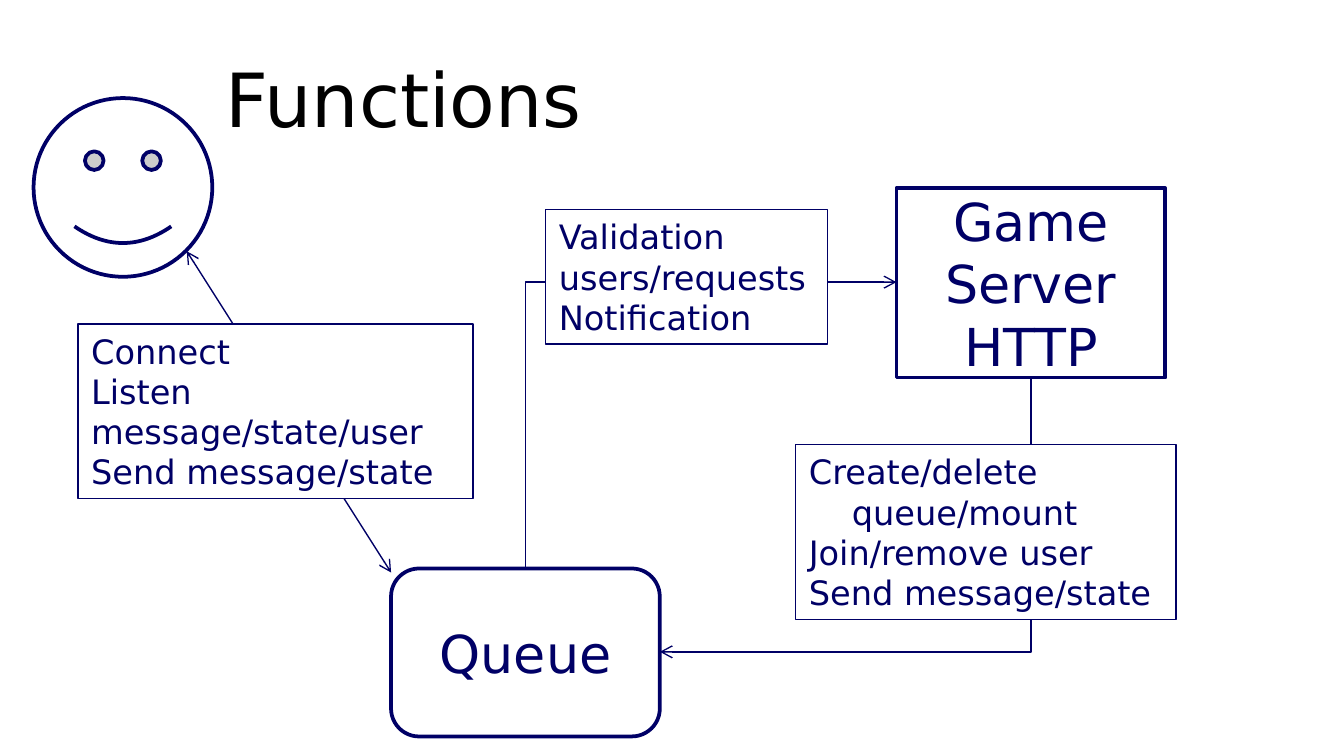
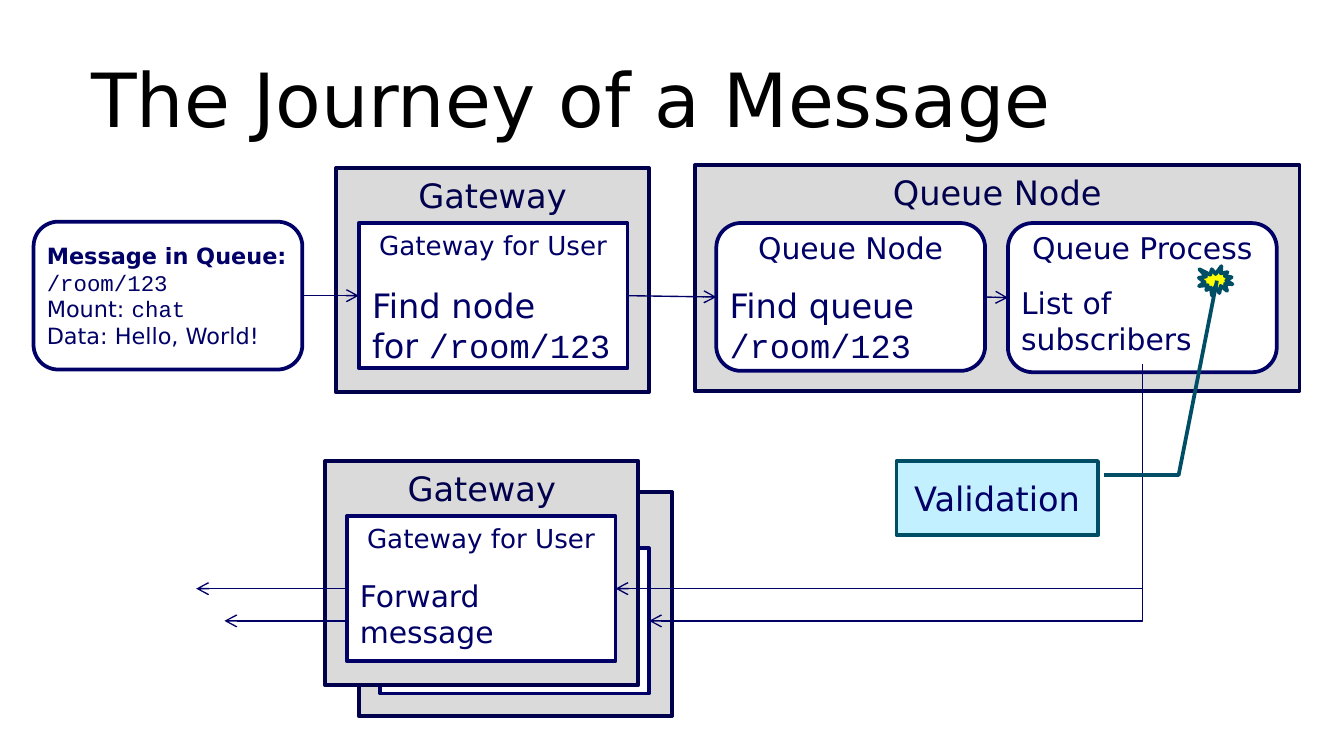
from lxml import etree
from pptx import Presentation
from pptx.dml.color import RGBColor
from pptx.enum.shapes import MSO_CONNECTOR as Connector, MSO_SHAPE as Preset
from pptx.enum.text import MSO_ANCHOR as Anchor, MSO_AUTO_SIZE as AutoSize, PP_ALIGN as Align
from pptx.oxml.ns import qn
from pptx.util import Inches, Pt

BLACK = RGBColor(0x00, 0x00, 0x00)
WHITE = RGBColor(0xFF, 0xFF, 0xFF)
NAVY = RGBColor(0x00, 0x00, 0x66)
DARK_NAVY = RGBColor(0x00, 0x00, 0x4D)
TEAL = RGBColor(0x00, 0x4D, 0x66)
GREY = RGBColor(0xDA, 0xDA, 0xDA)
PALE_BLUE = RGBColor(0xC2, 0xF0, 0xFF)
YELLOW = RGBColor(0xFF, 0xFF, 0x00)

SANS = "DejaVu Sans"
CODE = {"name": "Courier New"}
BOLD = {"bold": True}
THICK, THIN = 2, 0.75

SLIDE_WIDTH = 10
SLIDE_HEIGHT = SLIDE_WIDTH * 9 / 16
STAGE_WIDTH, STAGE_HEIGHT = 2, 1.08
STAGE_TOP = 1.66
BODY_OFFSET = 0.41


def write_text(shape, paragraphs, size, color=NAVY, align=Align.LEFT, anchor=Anchor.TOP):
    """Fill a shape; a paragraph is a string or a list of (text, font format) runs."""
    frame = shape.text_frame
    frame.word_wrap = True
    frame.vertical_anchor = anchor
    for index, runs in enumerate(paragraphs):
        paragraph = frame.paragraphs[0] if index == 0 else frame.add_paragraph()
        paragraph.alignment = align
        if isinstance(runs, str):
            runs = [(runs, {})]
        for text, changes in runs:
            run = paragraph.add_run()
            run.text = text
            run.font.color.rgb = color
            font_format = {"name": SANS, "size": Pt(size), "bold": False, **changes}
            for attribute, value in font_format.items():
                setattr(run.font, attribute, value)


def text_height(lines, size):
    return lines * size * 1.2 / 72 + 0.1


def add_title(slide, text, left):
    title = slide.shapes.title
    title.left, title.top = Inches(left), Inches(0.23)
    title.width, title.height = Inches(9.41 - left), Inches(1)
    title.text_frame.auto_size = AutoSize.NONE
    write_text(title, [text], 40, BLACK, anchor=Anchor.MIDDLE)


def add_box(slide, preset, left, top, width, height, fill=WHITE, line=NAVY, weight=THICK):
    shape = slide.shapes.add_shape(
        preset, Inches(left), Inches(top), Inches(width), Inches(height))
    shape.shadow.inherit = False
    shape.fill.solid()
    shape.fill.fore_color.rgb = fill
    shape.line.color.rgb = line
    shape.line.width = Pt(weight)
    return shape


def add_text(slide, left, top, lines, paragraphs, size, align=Align.LEFT):
    box = slide.shapes.add_textbox(Inches(left), Inches(top), Inches(STAGE_WIDTH),
                                   Inches(text_height(lines, size)))
    box.text_frame.auto_size = AutoSize.SHAPE_TO_FIT_TEXT
    write_text(box, paragraphs, size, align=align)


def add_label(slide, left, top, width, lines, paragraphs):
    """Thin-edged white box that lists what passes along an arrow."""
    label = add_box(slide, Preset.RECTANGLE, left, top, width, text_height(lines, 18), weight=THIN)
    label.text_frame.auto_size = AutoSize.SHAPE_TO_FIT_TEXT
    write_text(label, paragraphs, 18)
    return label


def add_node(slide, preset, left, top, height, paragraphs):
    node = add_box(slide, preset, left, top, 2, height)
    write_text(node, paragraphs, 28, align=Align.CENTER, anchor=Anchor.MIDDLE)


def add_panel(slide, left, top, width, height, heading=None):
    """Grey container with its heading at the top."""
    panel = add_box(slide, Preset.RECTANGLE, left, top, width, height, GREY, DARK_NAVY)
    if heading:
        write_text(panel, [heading], 18, DARK_NAVY, Align.CENTER)


def add_stage(slide, preset, left, top, height, heading, heading_size, body, body_size):
    """White step of the journey: a heading and two lines of body text."""
    stage = add_box(slide, preset, left, top, STAGE_WIDTH, height)
    add_text(slide, left, top, 1, [heading], heading_size, Align.CENTER)
    add_text(slide, left, top + BODY_OFFSET, 2, [body], body_size)
    return stage


def add_arrow(slide, start, end, kind=Connector.STRAIGHT, both_ends=False):
    points = [Inches(value) for value in (*start, *end)]
    arrow = slide.shapes.add_connector(kind, *points)
    arrow.line.color.rgb = NAVY
    arrow.line.width = Pt(THIN)
    line = arrow.line._get_or_add_ln()
    for tag in ("a:headEnd", "a:tailEnd") if both_ends else ("a:tailEnd",):
        etree.SubElement(line, qn(tag), type="arrow")
    etree.SubElement(arrow._element.spPr, qn("a:effectLst"))
    return arrow


def add_corner_arrow(slide, start, end):
    """Arrow that runs vertically from start, then horizontally to end."""
    arrow = add_arrow(slide, start, end, Connector.ELBOW)
    (x1, y1), (x2, y2) = start, end
    across, down = abs(x2 - x1), abs(y2 - y1)
    arrow.left = Inches((x1 + x2 - down) / 2)
    arrow.top = Inches((y1 + y2 - across) / 2)
    arrow.width, arrow.height = Inches(down), Inches(across)
    properties = arrow._element.spPr
    properties.find(qn("a:prstGeom")).set("prst", "bentConnector2")
    transform = properties.find(qn("a:xfrm"))
    transform.set("rot", str(90 * 60000))
    transform.set("flipH", str(int(y2 < y1)))
    transform.set("flipV", str(int(x2 > x1)))


def join(slide, source, target):
    arrow = add_arrow(slide, (0, 0), (1, 1))
    arrow.begin_connect(source, 3)
    arrow.end_connect(target, 1)


def send_left(slide, source, start, end_x):
    """Level arrow from the left side of source."""
    arrow = add_arrow(slide, start, (end_x, start[1]))
    arrow.begin_connect(source, 1)


def build_functions(slide):
    add_title(slide, "Functions", 1.58)
    add_box(slide, Preset.SMILEY_FACE, 0.25, 0.73, 1.33, 1.33)
    add_node(slide, Preset.RECTANGLE, 6.67, 1.4, 1.41, ["Game Server", "HTTP"])
    add_node(slide, Preset.ROUNDED_RECTANGLE, 2.91, 4.23, 1.25, ["Queue"])

    add_arrow(slide, (1.39, 1.87), (2.91, 4.26), both_ends=True)
    add_corner_arrow(slide, (7.67, 2.8), (4.91, 4.85))
    add_corner_arrow(slide, (3.91, 4.23), (6.67, 2.1))

    commands = add_label(slide, 5.92, 3.31, 2.83, 4, [
        "Create/delete", "queue/mount", "Join/remove user", "Send message/state"])
    indented = commands.text_frame.paragraphs[1]
    indented._p.get_or_add_pPr().set("marL", str(Inches(0.32)))
    add_label(slide, 4.06, 1.56, 2.1, 3, ["Validation users/requests", "Notification"])
    add_label(slide, 0.58, 2.41, 2.94, 4, [
        "Connect", "Listen message/state/user", "Send message/state"])


def build_journey(slide):
    add_title(slide, "The Journey of a Message", 0.58)
    add_panel(slide, 2.67, 3.66, 2.33, 1.67)
    back_gateway = add_box(slide, Preset.RECTANGLE, 2.83, 4.08, STAGE_WIDTH, STAGE_HEIGHT)
    add_panel(slide, 2.42, 3.43, 2.33, 1.67, "Gateway")
    add_panel(slide, 5.17, 1.23, 4.5, 1.68, "Queue Node")
    add_panel(slide, 2.5, 1.25, 2.33, 1.67, "Gateway")
    send_left(slide, back_gateway, (2.83, 4.62), 1.67)

    message = add_box(slide, Preset.ROUNDED_RECTANGLE, 0.25, 1.65, STAGE_WIDTH, 1.1)
    add_text(slide, 0.25, 1.75, 4, [
        [("Message in Queue: ", BOLD), ("/room/123", CODE)],
        [("Mount: ", {}), ("chat", CODE)],
        "Data: Hello, World!"], 12)
    gateway = add_stage(slide, Preset.RECTANGLE, 2.67, STAGE_TOP, STAGE_HEIGHT,
                        "Gateway for User", 14,
                        [("Find node for ", {}), ("/room/123", CODE)], 18)
    queue_node = add_stage(slide, Preset.ROUNDED_RECTANGLE, 5.33, STAGE_TOP, 1.1,
                           "Queue Node", 16,
                           [("Find queue ", {}), ("/room/123", CODE)], 18)
    queue_process = add_stage(slide, Preset.ROUNDED_RECTANGLE, 7.5, STAGE_TOP, 1.11,
                              "Queue Process", 16, "List of subscribers", 16)
    front_gateway = add_stage(slide, Preset.RECTANGLE, 2.58, 3.84, STAGE_HEIGHT,
                              "Gateway for User", 14, "Forward message", 16)

    stages = [message, gateway, queue_node, queue_process]
    for source, target in zip(stages, stages[1:]):
        join(slide, source, target)
    add_corner_arrow(slide, (8.5, 2.77), (4.58, 4.38))
    send_left(slide, front_gateway, (2.58, 4.38), 1.46)
    add_corner_arrow(slide, (8.5, 2.71), (4.83, 4.62))

    add_box(slide, Preset.EXPLOSION1, 8.92, 1.98, 0.25, 0.22, YELLOW, TEAL)
    validation = add_box(slide, Preset.LINE_CALLOUT_2, 6.67, 3.43, 1.5, 0.55, PALE_BLUE, TEAL)
    for index, value in enumerate((0.19, 1.03, 0.19, 1.4, -2.44, 1.59)):
        validation.adjustments[index] = value
    write_text(validation, ["Validation"], 18, align=Align.CENTER, anchor=Anchor.MIDDLE)


def main():
    presentation = Presentation()
    presentation.slide_width = Inches(SLIDE_WIDTH)
    presentation.slide_height = Inches(SLIDE_HEIGHT)
    title_only = presentation.slide_layouts[5]
    for build in (build_functions, build_journey):
        build(presentation.slides.add_slide(title_only))
    presentation.save("out.pptx")


if __name__ == "__main__":
    main()
